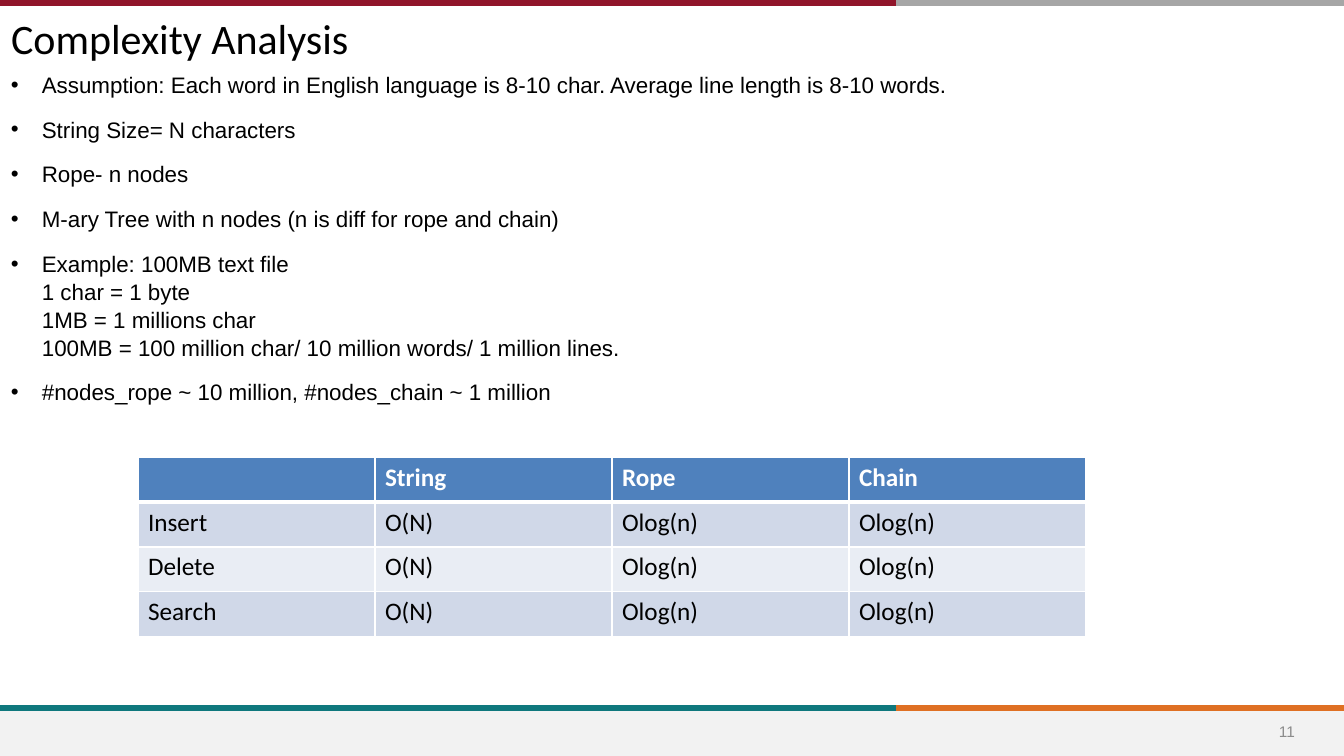
"""Build the Complexity Analysis slide."""
from lxml.etree import SubElement
from pptx import Presentation
from pptx.dml.color import RGBColor
from pptx.enum.shapes import MSO_CONNECTOR, MSO_SHAPE
from pptx.enum.text import MSO_ANCHOR, PP_ALIGN
from pptx.oxml.ns import qn
from pptx.util import Pt

PX = 12192000 / 1344
BLACK = RGBColor(0x00, 0x00, 0x00)
WHITE = RGBColor(0xFF, 0xFF, 0xFF)
FOOTER = RGBColor(0xF2, 0xF2, 0xF2)
ORANGE = RGBColor(0xDF, 0x70, 0x23)
TEAL = RGBColor(0x0F, 0x78, 0x7D)
GRAY = RGBColor(0xA6, 0xA6, 0xA6)
CRIMSON = RGBColor(0x90, 0x15, 0x2A)
NUMBER = RGBColor(0x8C, 0x8C, 0x8C)
HEADER = RGBColor(0x4F, 0x81, 0xBD)
BAND_DARK = RGBColor(0xD0, 0xD8, 0xE8)
BAND_LIGHT = RGBColor(0xE9, 0xED, 0xF4)


def px(*lengths):
    return [round(n * PX) for n in lengths]


def write(p, text, size=16, font="Arial", color=BLACK, bold=False, align=PP_ALIGN.LEFT):
    p.text = text
    p.alignment = align
    for r in p.runs:
        r.font.size = Pt(size)
        r.font.name = font
        r.font.bold = bold
        r.font.color.rgb = color
    for br in p._p.findall(qn("a:br")):
        SubElement(br, qn("a:rPr"), sz=str(size * 100))


prs = Presentation()
prs.slide_width, prs.slide_height = px(1344, 756)
s = prs.slides.add_slide(prs.slide_layouts[5])

footer = s.shapes.add_shape(MSO_SHAPE.RECTANGLE, *px(0, 711, 1344, 45))
footer.shadow.inherit = False
footer.fill.solid()
footer.fill.fore_color.rgb = FOOTER
footer.line.fill.background()

for x1, x2, y, color in [(896, 1344, 708, ORANGE), (0, 896, 708, TEAL),
                         (896, 1344, 3, GRAY), (0, 896, 3, CRIMSON)]:
    rule = s.shapes.add_connector(MSO_CONNECTOR.STRAIGHT, *px(x1, y, x2, y))
    rule.line.color.rgb = color
    rule.line.width = Pt(4)
    SubElement(rule._element.spPr, qn("a:effectLst"))

title = s.shapes.title
title.left, title.top, title.width, title.height = px(1, 5, 1074, 59)
tf = title.text_frame
tf.vertical_anchor = MSO_ANCHOR.BOTTOM
tf.margin_top, tf.margin_bottom = px(0, 1)
write(tf.paragraphs[0], "Complexity Analysis", size=30, font="Calibri")

bullets = [
    "Assumption: Each word in English language is 8-10 char. Average line length is 8-10 words.",
    "String Size= N characters",
    "Rope- n nodes",
    "M-ary Tree with n nodes (n is diff for rope and chain)",
    "Example: 100MB text file\v1 char = 1 byte\v1MB = 1 millions char\v"
    "100MB = 100 million char/ 10 million words/ 1 million lines.",
    "#nodes_rope ~ 10 million, #nodes_chain ~ 1 million",
]
tf = s.shapes.add_textbox(*px(1, 65, 1332, 625)).text_frame
tf.word_wrap = True
for i, text in enumerate(bullets):
    p = tf.add_paragraph() if i else tf.paragraphs[0]
    write(p, text)
    p.line_spacing = 1.04
    p.space_after = Pt(12)
    pPr = p._p.get_or_add_pPr()
    indent = px(31)[0]
    pPr.set("marL", str(indent))
    pPr.set("indent", str(-indent))
    SubElement(pPr, qn("a:buFont"), typeface="Arial")
    SubElement(pPr, qn("a:buChar"), char="•")

tf = s.shapes.add_textbox(*px(1252, 711, 70, 40)).text_frame
tf.word_wrap = True
tf.vertical_anchor = MSO_ANCHOR.MIDDLE
write(tf.paragraphs[0], "11", size=11, color=NUMBER, align=PP_ALIGN.CENTER)

rows = [
    ["", "String", "Rope", "Chain"],
    ["Insert", "O(N)", "Olog(n)", "Olog(n)"],
    ["Delete", "O(N)", "Olog(n)", "Olog(n)"],
    ["Search", "O(N)", "Olog(n)", "Olog(n)"],
]
table = s.shapes.add_table(4, 4, *px(138, 457, 948, 180)).table
for column in table.columns:
    column.width = px(237)[0]
for i, row in enumerate(rows):
    table.rows[i].height = px(45)[0]
    for j, text in enumerate(row):
        cell = table.cell(i, j)
        write(cell.text_frame.paragraphs[0], text, size=18, font="Calibri",
              color=BLACK if i else WHITE, bold=i == 0)
        tcPr = cell._tc.get_or_add_tcPr()
        for side in ("lnL", "lnR", "lnT", "lnB"):
            thick = (i, side) in [(0, "lnB"), (1, "lnT")]
            ln = SubElement(tcPr, qn(f"a:{side}"), w=str(Pt(3 if thick else 1)))
            SubElement(SubElement(ln, qn("a:solidFill")), qn("a:srgbClr"), val=str(WHITE))
        cell.fill.solid()
        cell.fill.fore_color.rgb = HEADER if i == 0 else BAND_DARK if i % 2 else BAND_LIGHT

prs.save("out.pptx")
